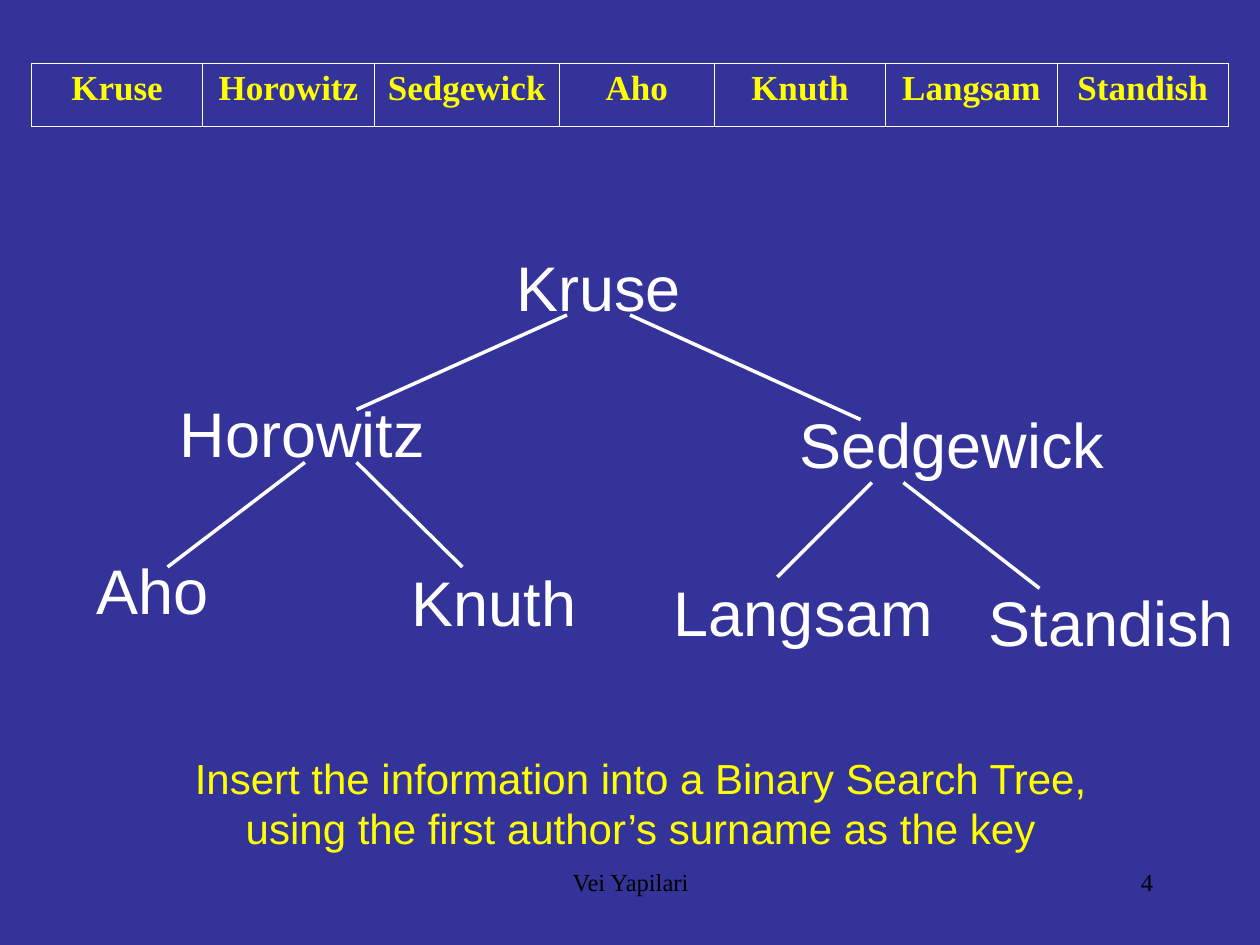
from dataclasses import dataclass

from lxml.etree import SubElement
from pptx import Presentation
from pptx.dml.color import RGBColor
from pptx.enum.shapes import MSO_CONNECTOR
from pptx.enum.text import MSO_AUTO_SIZE, PP_ALIGN
from pptx.oxml.ns import qn
from pptx.slide import Slide
from pptx.util import Inches, Pt

NAVY = RGBColor(0x33, 0x33, 0x99)
WHITE = RGBColor(0xFF, 0xFF, 0xFF)
YELLOW = RGBColor(0xFF, 0xFF, 0x00)
BLACK = RGBColor(0x00, 0x00, 0x00)
SANS = "Arial"
SERIF = "Times New Roman"


@dataclass
class Label:
    text: str
    left: float
    top: float
    width: float
    height: float = 0.7
    size: int = 36
    face: str = SANS
    color: RGBColor = WHITE
    align: PP_ALIGN = PP_ALIGN.LEFT
    before: float = 0
    grow: bool = True


@dataclass
class Edge:
    x1: float
    y1: float
    x2: float
    y2: float


@dataclass
class Column:
    name: str
    width: float = 1.36


EDGES = [
    Edge(4.5, 2.5, 2.83, 3.25),
    Edge(2.42, 3.67, 1.33, 4.5),
    Edge(2.83, 3.67, 3.67, 4.5),
    Edge(5, 2.5, 6.83, 3.33),
    Edge(6.92, 3.83, 6.17, 4.58),
    Edge(7.17, 3.83, 8.25, 4.67),
]

NODES = [
    Label("Kruse", 4, 1.92, 1.58, before=22.5),
    Label("Horowitz", 1.33, 3.08, 2.42, before=22.5),
    Label("Sedgewick", 6.25, 3.17, 2.67, before=22.5),
    Label("Aho", 0.67, 4.33, 1.25, before=22.5),
    Label("Knuth", 3.17, 4.42, 1.58, before=22.5),
    Label("Langsam", 5.25, 4.5, 2.42, before=22.5),
    Label("Standish", 7.75, 4.58, 2.25, before=22.5),
]

TASK = Label(
    "Insert the information into a Binary Search Tree, \n"
    "using the first author’s surname as the key",
    1.42, 5.92, 7.33, 0.9, 24, SANS, YELLOW, PP_ALIGN.CENTER,
)

FOOTERS = [
    Label("Vei Yapilari", 3.42, 6.83, 3.17, 0.5, 14, SERIF, BLACK,
          PP_ALIGN.CENTER, grow=False),
    Label("4", 7.17, 6.83, 2.08, 0.5, 14, SERIF, BLACK,
          PP_ALIGN.RIGHT, grow=False),
]

COLUMNS = [
    Column("Kruse"),
    Column("Horowitz"),
    Column("Sedgewick", 1.47),
    Column("Aho", 1.23),
    Column("Knuth"),
    Column("Langsam"),
    Column("Standish"),
]


def style(frame, size: int, face: str, color: RGBColor,
          align: PP_ALIGN, before: float, bold: bool = False) -> None:
    for para in frame.paragraphs:
        para.alignment = align
        para.space_before = Pt(before)
        para.font.size = Pt(size)
        para.font.name = face
        para.font.bold = bold
        para.font.color.rgb = color


def add_label(slide: Slide, label: Label) -> None:
    box = slide.shapes.add_textbox(
        Inches(label.left), Inches(label.top),
        Inches(label.width), Inches(label.height))
    frame = box.text_frame
    frame.word_wrap = True
    if label.grow:
        frame.auto_size = MSO_AUTO_SIZE.SHAPE_TO_FIT_TEXT
    frame.text = label.text
    style(frame, label.size, label.face, label.color,
          label.align, label.before)


def add_edge(slide: Slide, edge: Edge) -> None:
    line = slide.shapes.add_connector(
        MSO_CONNECTOR.STRAIGHT, Inches(edge.x1), Inches(edge.y1),
        Inches(edge.x2), Inches(edge.y2))
    line.line.color.rgb = WHITE
    line.line.width = Pt(2)
    SubElement(line._element.spPr, qn("a:effectLst"))


def add_border(cell) -> None:
    props = cell._tc.get_or_add_tcPr()
    for side in ("a:lnL", "a:lnR", "a:lnT", "a:lnB"):
        line = SubElement(props, qn(side), w=str(Pt(0.45)))
        fill = SubElement(line, qn("a:solidFill"))
        SubElement(fill, qn("a:srgbClr"), val=str(WHITE))


def add_keys(slide: Slide, columns: list[Column]) -> None:
    table = slide.shapes.add_table(
        1, len(columns), Inches(0.25), Inches(0.5),
        Inches(9.5), Inches(0.5)).table
    table.first_row = False
    table.horz_banding = False
    for index, column in enumerate(columns):
        table.columns[index].width = Inches(column.width)
        cell = table.cell(0, index)
        cell.text = column.name
        style(cell.text_frame, 20, SERIF, YELLOW,
              PP_ALIGN.CENTER, 5, bold=True)
        add_border(cell)
        cell.fill.background()


def main() -> None:
    deck = Presentation()
    deck.slide_width = Inches(10)
    deck.slide_height = Inches(7.5)
    slide = deck.slides.add_slide(deck.slide_layouts[6])
    slide.background.fill.solid()
    slide.background.fill.fore_color.rgb = NAVY
    for edge in EDGES:
        add_edge(slide, edge)
    for label in [*NODES, TASK]:
        add_label(slide, label)
    add_keys(slide, COLUMNS)
    for label in FOOTERS:
        add_label(slide, label)
    deck.save("out.pptx")


if __name__ == "__main__":
    main()
